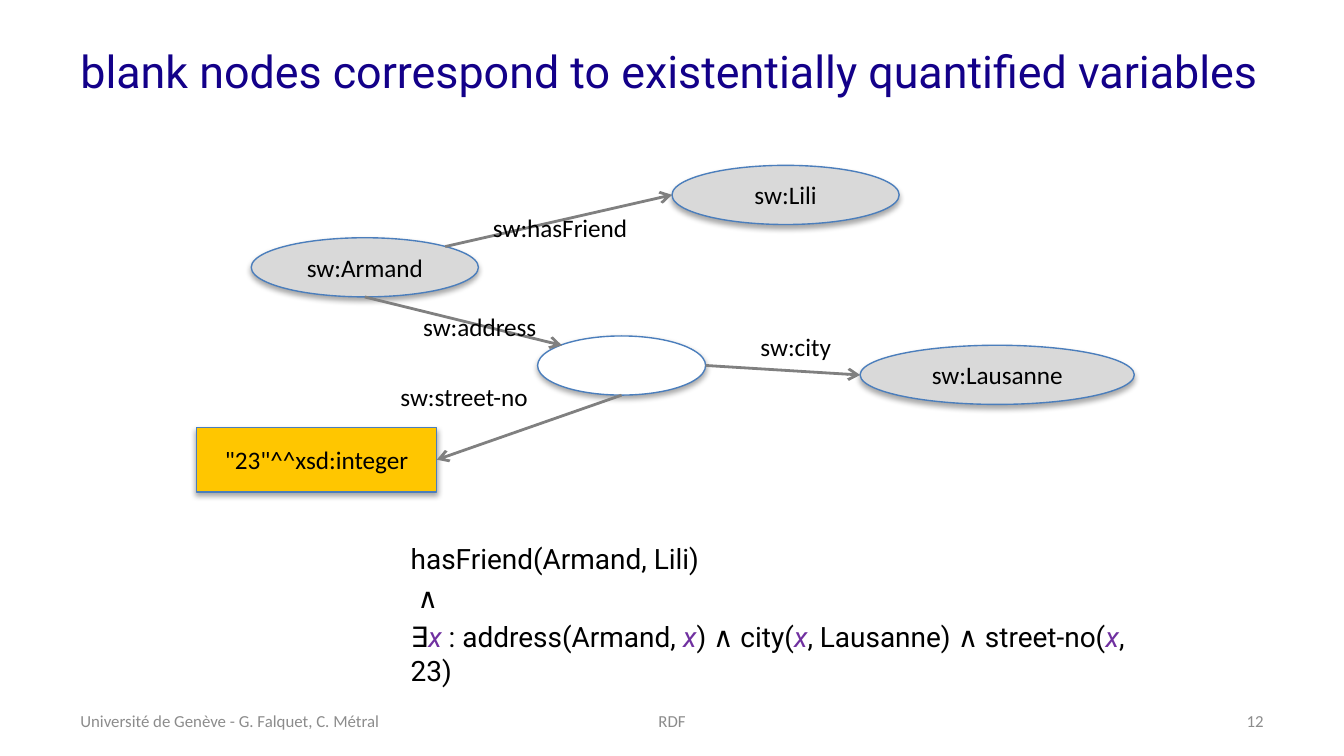
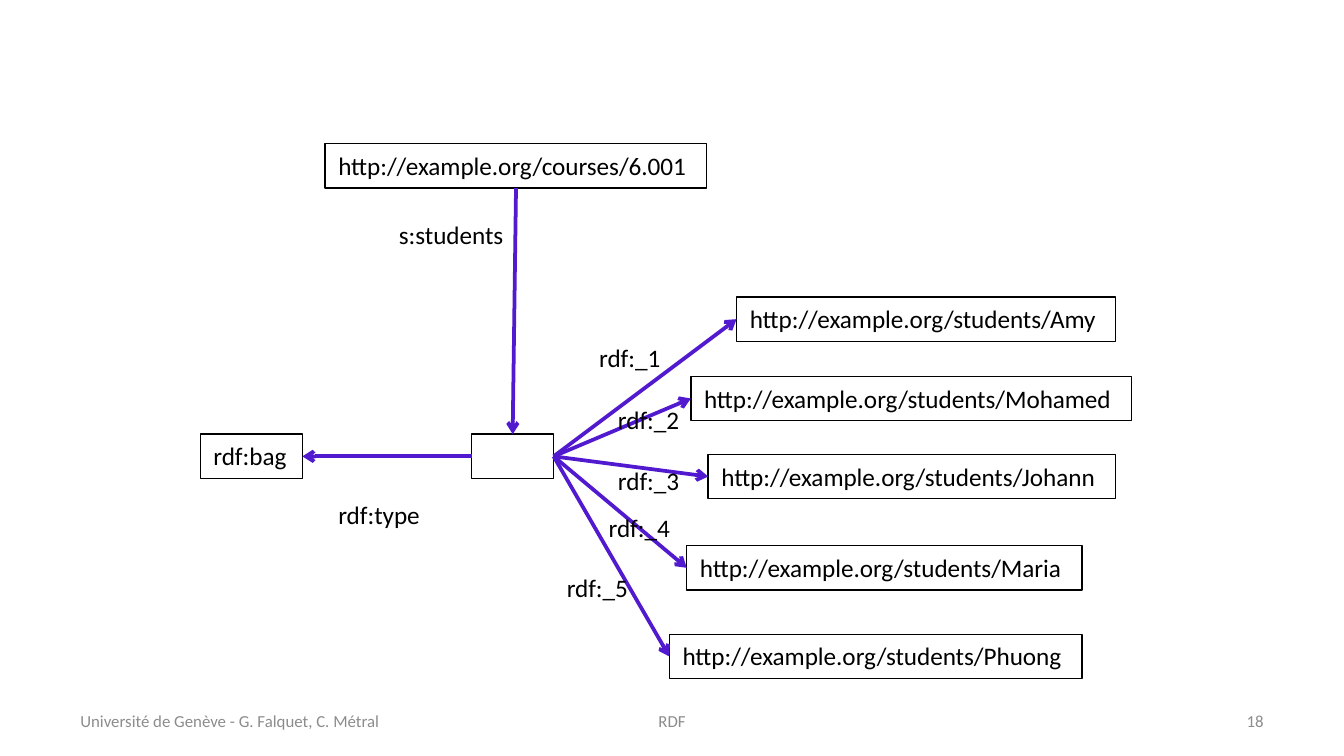
from lxml.etree import SubElement
from pptx import Presentation
from pptx.dml.color import RGBColor
from pptx.enum.shapes import MSO_CONNECTOR as Connector, MSO_SHAPE as Preset
from pptx.enum.text import MSO_ANCHOR as Anchor, MSO_AUTO_SIZE as AutoSize, PP_ALIGN as Align
from pptx.oxml.ns import qn
from pptx.util import Pt

NAVY = RGBColor(0x13, 0x00, 0x89)
VIOLET = RGBColor(0x51, 0x1A, 0xCF)
PURPLE = RGBColor(0x70, 0x30, 0xA0)
BLUE = RGBColor(0x4B, 0x7E, 0xBC)
AMBER = RGBColor(0xFF, 0xC6, 0x00)
SILVER = RGBColor(0xD9, 0xD9, 0xD9)
GREY = RGBColor(0x80, 0x80, 0x80)
FOOTER_GREY = RGBColor(0x8C, 0x8C, 0x8C)
BLACK = RGBColor(0x00, 0x00, 0x00)
WHITE = RGBColor(0xFF, 0xFF, 0xFF)

BODY_FONT, HEAD_FONT = "Calibri", "Roboto"
NODE_HEIGHT, BOX_HEIGHT = 31.7, 23.8
TOP, LEFT, BOTTOM, RIGHT = range(4)


class Deck:
    """Draws the RDF graphs and the shared title and footer."""

    def __init__(self):
        self.presentation = Presentation()
        self.presentation.slide_width = Pt(720)
        self.presentation.slide_height = Pt(405)
        self.slide = None

    def new_slide(self, number):
        self.slide = self.presentation.slides.add_slide(self.presentation.slide_layouts[6])
        footers = [
            (36, 210, "Université de Genève - G. Falquet, C. Métral", Align.LEFT),
            (246, 228, "RDF", Align.CENTER),
            (516, 168, str(number), Align.RIGHT),
        ]
        for left, width, text, align in footers:
            self.text(left, 375, width, 22, text, 9, FOOTER_GREY, align=align)

    def style_run(self, run, size, color, font=BODY_FONT):
        run.font.size = Pt(size)
        run.font.name = font
        run.font.color.rgb = color

    def fill_text(self, shape, text, size, color, font=BODY_FONT, align=Align.LEFT, anchor=Anchor.MIDDLE):
        frame = shape.text_frame
        frame.word_wrap = True
        frame.vertical_anchor = anchor
        frame.text = text
        paragraph = frame.paragraphs[0]
        paragraph.alignment = align
        for run in paragraph.runs:
            self.style_run(run, size, color, font)

    def text(self, left, top, width, height, text, size, color, font=BODY_FONT, align=Align.LEFT):
        shape = self.slide.shapes.add_textbox(Pt(left), Pt(top), Pt(width), Pt(height))
        self.fill_text(shape, text, size, color, font, align)

    def title(self, text):
        self.text(36, 16.5, 648, 43.2, text, 24, NAVY, HEAD_FONT)

    def fit(self, shape, text):
        self.fill_text(shape, text, 13.5, BLACK, anchor=Anchor.TOP)
        shape.text_frame.word_wrap = False
        shape.text_frame.auto_size = AutoSize.SHAPE_TO_FIT_TEXT

    def label(self, left, top, width, text):
        self.fit(self.slide.shapes.add_textbox(Pt(left), Pt(top), Pt(width), Pt(BOX_HEIGHT)), text)

    def outline(self, preset, left, top, width, height, line):
        shape = self.slide.shapes.add_shape(preset, Pt(left), Pt(top), Pt(width), Pt(height))
        shape.shadow.inherit = False
        shape.line.color.rgb = line
        shape.line.width = Pt(0.75)
        return shape

    def box(self, left, top, width, text=""):
        shape = self.outline(Preset.RECTANGLE, left, top, width, BOX_HEIGHT, BLACK)
        shape.fill.background()
        if text:
            self.fit(shape, text)
        return shape

    def node(self, left, top, width, text="", fill=SILVER, preset=Preset.OVAL, height=NODE_HEIGHT):
        shape = self.outline(preset, left, top, width, height, BLUE)
        shape.fill.solid()
        shape.fill.fore_color.rgb = fill
        effects = shape._element.spPr.find(qn("a:effectLst"))
        shadow = SubElement(effects, qn("a:outerShdw"), blurRad=str(Pt(3.1)), dist=str(Pt(1.8)),
                            dir="5400000", rotWithShape="0")
        color = SubElement(shadow, qn("a:srgbClr"), val=str(BLACK))
        SubElement(color, qn("a:alpha"), val="35000")
        if text:
            self.fill_text(shape, text, 13.5, BLACK, align=Align.CENTER)
        return shape

    def arrow(self, start, end, color=GREY, width=1.5, start_joint=None, end_joint=None):
        points = [Pt(value) for value in (*start, *end)]
        connector = self.slide.shapes.add_connector(Connector.STRAIGHT, *points)
        if start_joint:
            connector.begin_connect(*start_joint)
        if end_joint:
            connector.end_connect(*end_joint)
        connector.line.color.rgb = color
        connector.line.width = Pt(width)
        properties = connector._element.spPr
        SubElement(properties.find(qn("a:ln")), qn("a:tailEnd"), type="arrow")
        SubElement(properties, qn("a:effectLst"))

    def link(self, source, source_side, target, target_side):
        self.arrow((0, 0), (0, 0), VIOLET, 2, (source, source_side), (target, target_side))

    def formula(self, left, top, width, height, lines):
        shape = self.slide.shapes.add_textbox(Pt(left), Pt(top), Pt(width), Pt(height))
        frame = shape.text_frame
        frame.word_wrap = True
        frame.margin_left = frame.margin_right = Pt(5.4)
        frame.margin_top = frame.margin_bottom = Pt(2.7)
        for index, pieces in enumerate(lines):
            paragraph = frame.add_paragraph() if index else frame.paragraphs[0]
            paragraph.space_before = Pt(3)
            for piece in pieces:
                run = paragraph.add_run()
                run.text = piece
                variable = piece.strip() == "x"
                self.style_run(run, 15, PURPLE if variable else BLACK, HEAD_FONT)
                run.font.italic = variable


def blank_nodes(deck):
    deck.new_slide(12)
    deck.title("blank nodes correspond to existentially quantified variables")
    deck.node(134.6, 127.4, 121.7, "sw:Armand")
    deck.node(288, 180, 90, fill=WHITE)
    deck.node(460.8, 185, 146.9, "sw:Lausanne")
    deck.node(360, 88.6, 121.7, "sw:Lili")
    number = deck.node(105.1, 229, 128.9, '"23"^^xsd:integer', AMBER, Preset.RECTANGLE, 34.6)
    deck.arrow((195.4, 159.1), (301, 185))
    deck.arrow((378, 195.8), (460.8, 200.9))
    deck.arrow((333, 211.7), (234, 246.3), end_joint=(number, RIGHT))
    deck.arrow((238.5, 132.1), (360, 104.4))
    deck.label(219.6, 163.4, 76.3, "sw:address")
    deck.label(207.4, 200.9, 83.5, "sw:street-no")
    deck.label(400.3, 174.2, 52.6, "sw:city")
    deck.label(257, 110.2, 87.8, "sw:hasFriend")
    deck.formula(214.6, 287.3, 412.6, 79.9, [
        ["hasFriend(Armand, Lili)"],
        [" ∧"],
        ["∃", "x ", ": address(Armand, ", "x", ") ∧ city(", "x", ", Lausanne) ∧ street-no(", "x", ", 23)"],
    ])


def student_bag(deck):
    deck.new_slide(18)
    course = deck.box(174.2, 77, 204.5, "http://example.org/courses/6.001")
    bag_type = deck.box(107.3, 232.6, 54.7, "rdf:bag")
    bag = deck.box(252.7, 232.6, 43.9)
    deck.link(course, BOTTOM, bag, TOP)
    deck.label(206.6, 113.8, 71.3, "s:students")
    deck.link(bag, LEFT, bag_type, RIGHT)
    deck.label(174.2, 264.2, 59, "rdf:type")
    members = [
        ("Amy", 394.6, 159.1, 203, 313.9, 180),
        ("Mohamed", 370.1, 201.6, 236.2, 324, 213.1),
        ("Johann", 379.4, 243.4, 218.2, 324, 245.5),
        ("Maria", 367.9, 292.3, 211.7, 319, 270.7),
        ("Phuong", 358.6, 339.8, 221, 296.6, 303.1),
    ]
    for index, (name, left, top, width, label_left, label_top) in enumerate(members, 1):
        student = deck.box(left, top, width, f"http://example.org/students/{name}")
        deck.link(bag, RIGHT, student, LEFT)
        deck.label(label_left, label_top, 48.2, f"rdf:_{index}")


def main():
    deck = Deck()
    blank_nodes(deck)
    student_bag(deck)
    deck.presentation.save("out.pptx")


if __name__ == "__main__":
    main()
